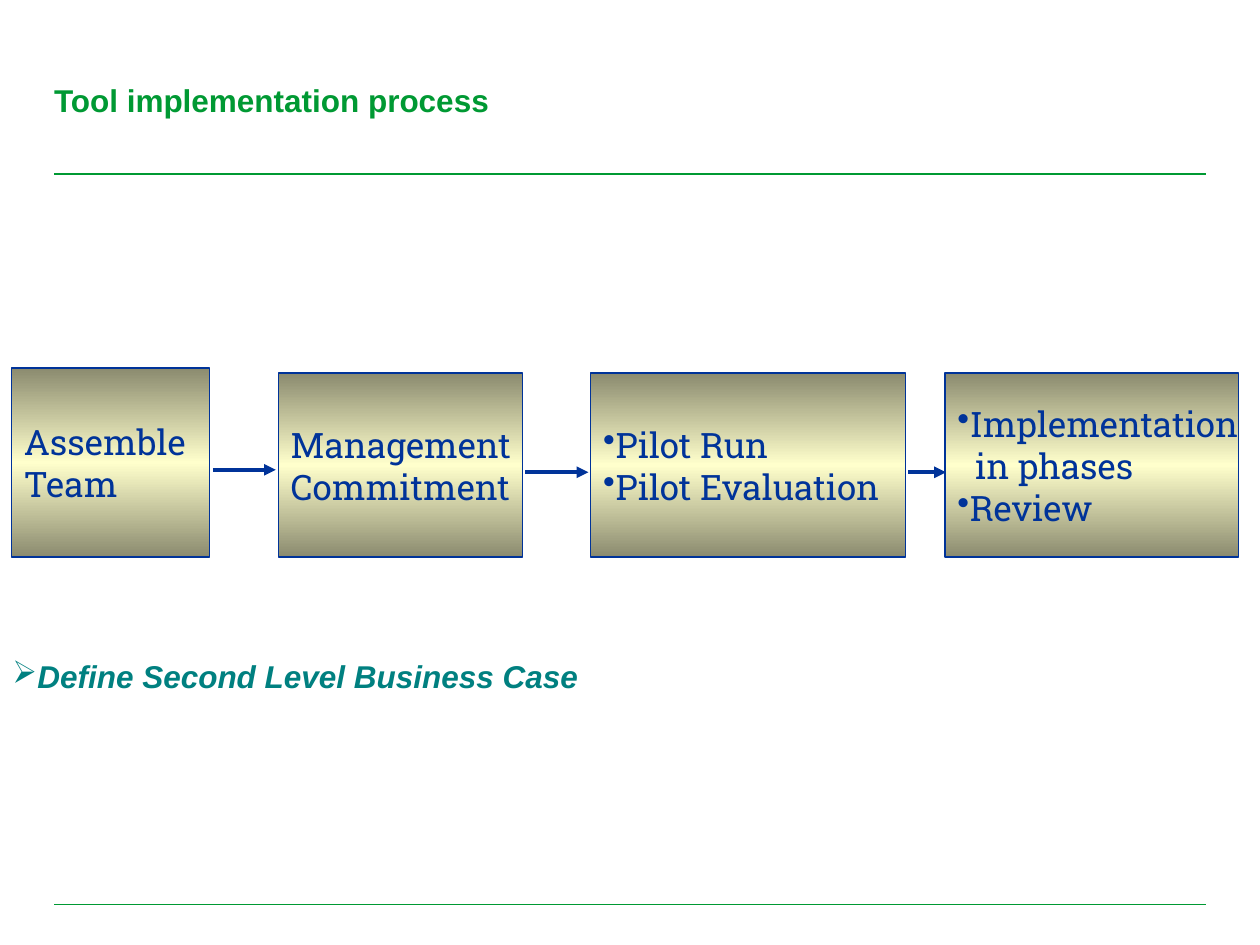
from copy import deepcopy
from dataclasses import dataclass

from pptx import Presentation
from pptx.dml.color import RGBColor
from pptx.enum.shapes import MSO_CONNECTOR, MSO_SHAPE
from pptx.enum.text import MSO_ANCHOR, PP_ALIGN
from pptx.oxml.ns import qn
from pptx.util import Cm, Pt
from lxml.etree import SubElement


@dataclass(frozen=True)
class Theme:
    green: RGBColor = RGBColor(0x00, 0x99, 0x33)
    blue: RGBColor = RGBColor(0x00, 0x33, 0x99)
    teal: RGBColor = RGBColor(0x00, 0x80, 0x80)
    dark: RGBColor = RGBColor(0x8B, 0x8B, 0x6F)
    light: RGBColor = RGBColor(0xFF, 0xFF, 0xCC)
    head: str = "Arial"
    body: str = "Roboto Slab"
    large: Pt = Pt(20)
    small: Pt = Pt(18)
    thin: Pt = Pt(0.75)
    thick: Pt = Pt(2.25)


THEME = Theme()
BASE = 11.23  # shared bottom edge of the steps, cm

# left, top, width, lines as (bullet, indent, text)
STEPS = [
    (0.23, 7.42, 3.99, [("", 0, "Assemble"), ("", 0, "Team")]),
    (5.61, 7.52, 4.93, [("", 0, "Management"), ("", 0, "Commitment")]),
    (11.91, 7.52, 6.35, [("•", 0, "Pilot Run"), ("•", 0, "Pilot Evaluation")]),
    (19.05, 7.52, 5.92, [("•", 0, "Implementation"),
                         ("", 0.36, "in phases"), ("•", 0, "Review")]),
]
# start, end, height
ARROWS = [(4.29, 5.56, 9.47), (10.59, 11.86, 9.52), (18.31, 19.07, 9.52)]


def style(font, name, size, color, bold=False, italic=False):
    font.name, font.size = name, size
    font.bold, font.italic = bold, italic
    font.color.rgb = color


def bullet(para, mark, indent=0):
    props = para._p.get_or_add_pPr()
    props.set("marL", str(Cm(indent)))
    props.set("indent", "0")
    if mark:
        SubElement(props, qn("a:buChar")).set("char", mark)


def shade(shape):
    """Fill with a vertical dark-light-dark gradient."""
    shape.fill.gradient()
    shape.fill.gradient_angle = 270
    stops = shape._element.spPr.find(".//" + qn("a:gsLst"))
    stops.append(deepcopy(stops[0]))
    tones = (THEME.dark, THEME.light, THEME.dark)
    for stop, place, tone in zip(shape.fill.gradient_stops, (0, 0.5, 1), tones):
        stop.position = place
        stop.color.rgb = tone


def add_step(slide, left, top, width, lines):
    box = slide.shapes.add_shape(MSO_SHAPE.RECTANGLE, Cm(left), Cm(top),
                                 Cm(width), Cm(BASE - top))
    box.shadow.inherit = False
    shade(box)
    box.line.color.rgb = THEME.blue
    box.line.width = THEME.thin
    frame = box.text_frame
    frame.word_wrap = False
    frame.vertical_anchor = MSO_ANCHOR.MIDDLE
    frame.text = "\n".join(text for _, _, text in lines)
    for para, (mark, indent, _) in zip(frame.paragraphs, lines):
        para.alignment = PP_ALIGN.LEFT
        bullet(para, mark, indent)
        style(para.font, THEME.body, THEME.large, THEME.blue)


def add_line(slide, start, end, high, color, width):
    line = slide.shapes.add_connector(MSO_CONNECTOR.STRAIGHT, Cm(start),
                                      Cm(high), Cm(end), Cm(high))
    line.line.color.rgb = color
    line.line.width = width
    SubElement(line._element.spPr, qn("a:effectLst"))
    return line


def add_arrow(slide, start, end, high):
    line = add_line(slide, start, end, high, THEME.blue, THEME.thick)
    SubElement(line.line._get_or_add_ln(), qn("a:tailEnd")).set("type", "triangle")


def add_label(slide, left, top, width, height, text):
    box = slide.shapes.add_textbox(Cm(left), Cm(top), Cm(width), Cm(height))
    frame = box.text_frame
    frame.word_wrap = True
    frame.text = text
    return frame


def add_title(slide, text):
    frame = add_label(slide, 1.09, 1.63, 20.68, 0.76, text)
    frame.margin_left = frame.margin_right = 0
    frame.margin_top = frame.margin_bottom = 0
    style(frame.paragraphs[0].font, THEME.head, THEME.small, THEME.green, bold=True)


def add_note(slide, text):
    para = add_label(slide, 0, 13.13, 16.74, 1.27, text).paragraphs[0]
    bullet(para, "➢")
    style(para.font, THEME.head, THEME.small, THEME.teal, bold=True, italic=True)


def main():
    deck = Presentation()
    deck.slide_width, deck.slide_height = Cm(25.4), Cm(19.05)
    slide = deck.slides.add_slide(deck.slide_layouts[6])
    for high in (3.51, 18.24):
        add_line(slide, 1.09, 24.31, high, THEME.green, THEME.thin)
    add_title(slide, "Tool implementation process")
    for step in STEPS:
        add_step(slide, *step)
    for arrow in ARROWS:
        add_arrow(slide, *arrow)
    add_note(slide, "Define Second Level Business Case")
    deck.save("out.pptx")


if __name__ == "__main__":
    main()
